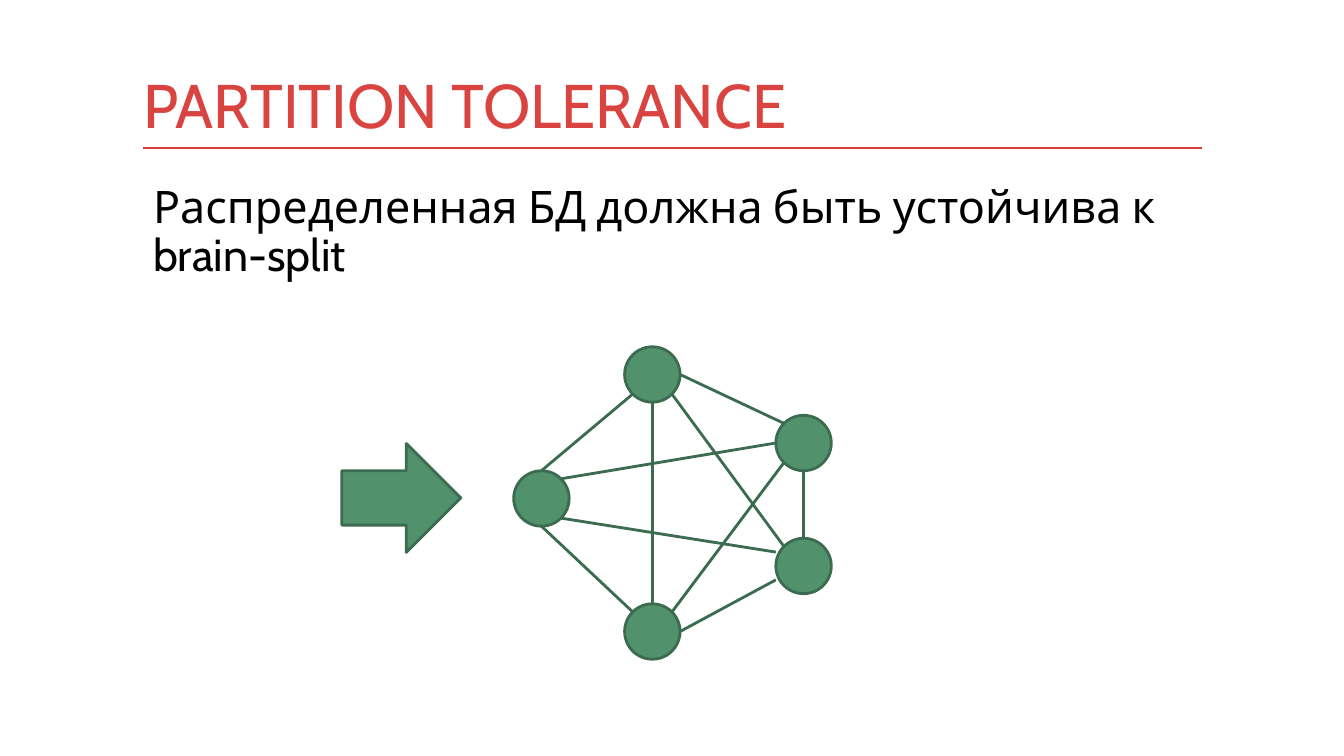
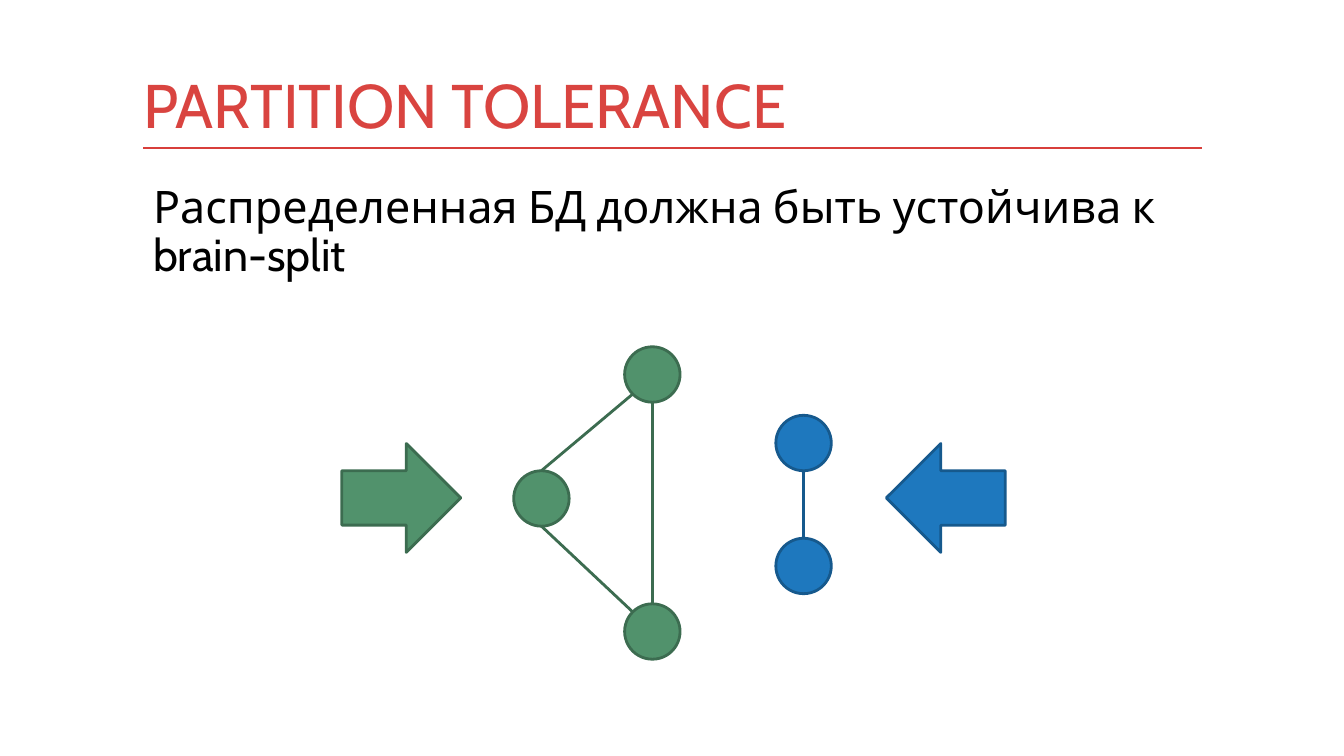
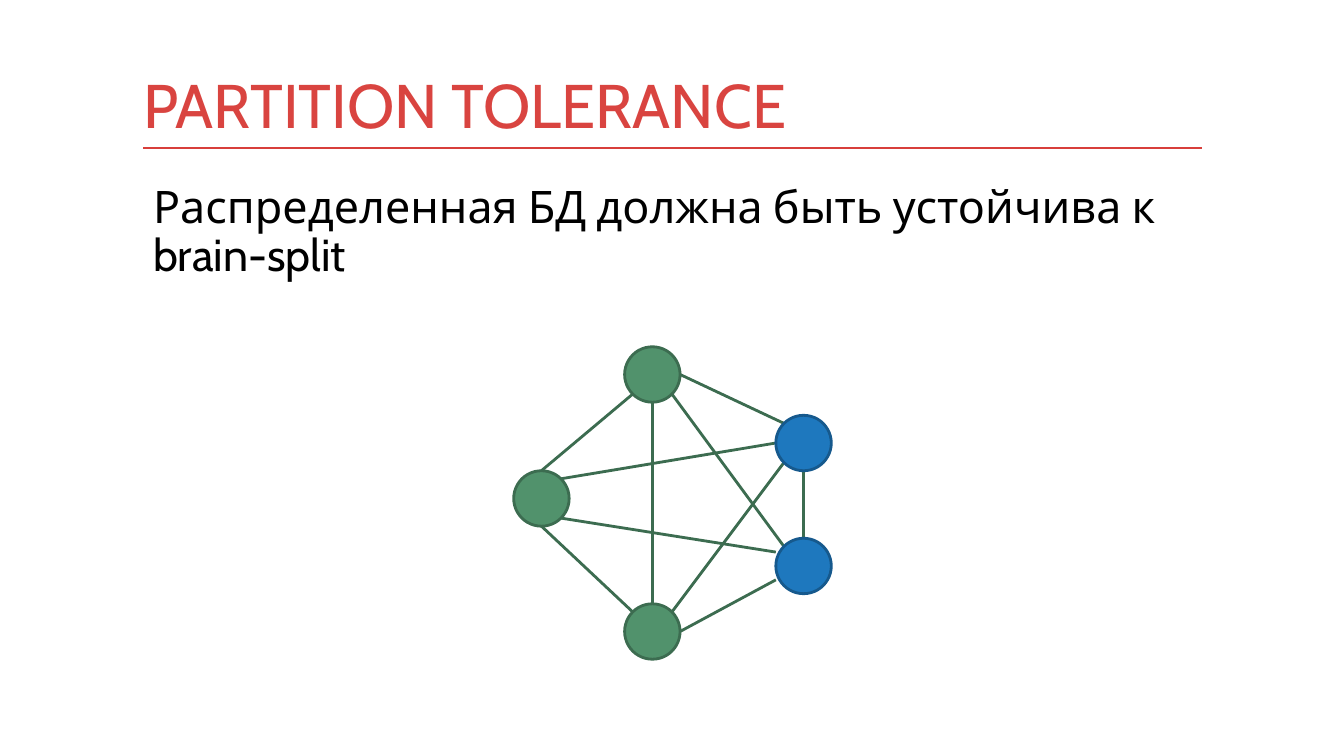
"""Build three slides on partition tolerance in a distributed database."""
from lxml.etree import SubElement
from pptx import Presentation
from pptx.dml.color import RGBColor
from pptx.enum.shapes import MSO_CONNECTOR as LINK, MSO_SHAPE as FORM
from pptx.enum.text import MSO_ANCHOR as ANCHOR
from pptx.oxml.ns import qn
from pptx.util import Inches, Pt

COLORS = {
    "paper": "FFFFFF", "ink": "000000", "title": "D94440", "rule": "D83F3B",
    "green": "51926C", "green_edge": "3C6C50",
    "blue": "1E78BE", "blue_edge": "16598D",
}
FONT = "Cabin"
CELL = 0.1
LEFT, WIDTH, RULE_ROW = 14.2, 105, 14.7
NODE_SIZE = 5.5
ARROW_ROW, ARROW_WIDTH, ARROW_HEIGHT = 44, 11.8, 10.8

NODES = {
    "top": (64.7, 37.15), "west": (53.7, 49.45), "bottom": (64.7, 62.65),
    "upper": (79.7, 43.95), "lower": (79.7, 56.15),
}
EAST = {"upper", "lower"}
SITES = {
    "n": (0, -1), "s": (0, 1), "w": (-1, 0), "e": (1, 0),
    "nw": (-0.71, -0.71), "ne": (0.71, -0.71),
    "sw": (-0.71, 0.71), "se": (0.71, 0.71),
    "wnw": (-1, -0.5), "wsw": (-1, 0.5),
}
LINKS = [
    ("top", "sw", "west", "n"), ("west", "s", "bottom", "sw_in"),
    ("upper", "nw", "top", "e"), ("upper", "s", "lower", "n"),
    ("lower", "wsw", "bottom", "e"), ("upper", "sw", "bottom", "ne"),
    ("top", "se", "lower", "nw"), ("top", "s", "bottom", "n"),
    ("upper", "w", "west", "ne"), ("lower", "wnw", "west", "se"),
]
SITES["sw_in"] = SITES["nw"]


def cells(*counts):
    """Turn counts of grid cells into lengths."""
    return [Inches(count * CELL) for count in counts]


def color(name):
    """Look up a palette colour."""
    return RGBColor.from_string(COLORS[name])


def add_text(slide, text, box, size, ink, anchor=ANCHOR.TOP, inset_x=0.1,
             inset_y=0.05, spacing=None):
    """Place one paragraph of text in a box given in cells."""
    frame = slide.shapes.add_textbox(*cells(*box)).text_frame
    frame.word_wrap = True
    frame.vertical_anchor = anchor
    frame.margin_left = frame.margin_right = Inches(inset_x)
    frame.margin_top = frame.margin_bottom = Inches(inset_y)
    paragraph = frame.paragraphs[0]
    paragraph.line_spacing = spacing
    run = paragraph.add_run()
    run.text = text
    run.font.name, run.font.size = FONT, Pt(size)
    run.font.color.rgb = color(ink)


def add_line(slide, start, end, ink, weight=2):
    """Draw a straight line between two grid points."""
    line = slide.shapes.add_connector(LINK.STRAIGHT, *cells(*start, *end))
    line.line.color.rgb = color(ink)
    line.line.width = Pt(weight)
    SubElement(line._element.spPr, qn("a:effectLst"))


def add_figure(slide, form, box, hue, rotation=0):
    """Draw a filled shape with an edge of the same hue."""
    figure = slide.shapes.add_shape(form, *cells(*box))
    figure.shadow.inherit = False
    figure.rotation = rotation
    figure.fill.solid()
    figure.fill.fore_color.rgb = color(hue)
    figure.line.color.rgb = color(hue + "_edge")
    figure.line.width = Pt(2)


def site_point(node, site):
    """Find the point of a node where a link ends."""
    return [center + shift * NODE_SIZE / 2
            for center, shift in zip(NODES[node], SITES[site])]


def add_network(slide, east_hue, split):
    """Draw the nodes and links, without the links across a split."""
    for start, start_site, end, end_site in LINKS:
        if split and (start in EAST) != (end in EAST):
            continue
        hue = east_hue if split and start in EAST else "green"
        add_line(slide, site_point(start, start_site),
                 site_point(end, end_site), hue + "_edge")
    for node, (x, y) in NODES.items():
        corner = (x - NODE_SIZE / 2, y - NODE_SIZE / 2)
        add_figure(slide, FORM.OVAL, (*corner, NODE_SIZE, NODE_SIZE),
                   east_hue if node in EAST else "green")


def add_request(slide, column, hue, rotation=0):
    """Draw the block arrow of an incoming request."""
    add_figure(slide, FORM.RIGHT_ARROW,
               (column, ARROW_ROW, ARROW_WIDTH, ARROW_HEIGHT), hue, rotation)


def add_page(deck):
    """Add a slide with the shared title, rule and statement."""
    slide = deck.slides.add_slide(deck.slide_layouts[6])
    slide.background.fill.solid()
    slide.background.fill.fore_color.rgb = color("paper")
    add_line(slide, (LEFT, RULE_ROW), (LEFT + WIDTH, RULE_ROW), "rule", 1)
    add_text(slide, "Распределенная БД должна быть устойчива к brain-split",
             (LEFT, 17.8, WIDTH, 51.2), 32, "ink", spacing=0.9)
    add_text(slide, "PARTITION TOLERANCE", (LEFT, 6, WIDTH, 8.7), 44, "title",
             anchor=ANCHOR.BOTTOM, inset_x=0, inset_y=0.07)
    return slide


def main():
    """Build and save the deck."""
    deck = Presentation()
    deck.slide_width, deck.slide_height = Inches(13.33), Inches(7.5)
    west_request, east_request = (33.9, "green"), (87.9, "blue", 180)
    stages = [
        ("green", False, [west_request]),
        ("blue", True, [west_request, east_request]),
        ("blue", False, []),
    ]
    for east_hue, split, requests in stages:
        slide = add_page(deck)
        add_network(slide, east_hue, split)
        for request in requests:
            add_request(slide, *request)
    deck.save("out.pptx")


if __name__ == "__main__":
    main()
